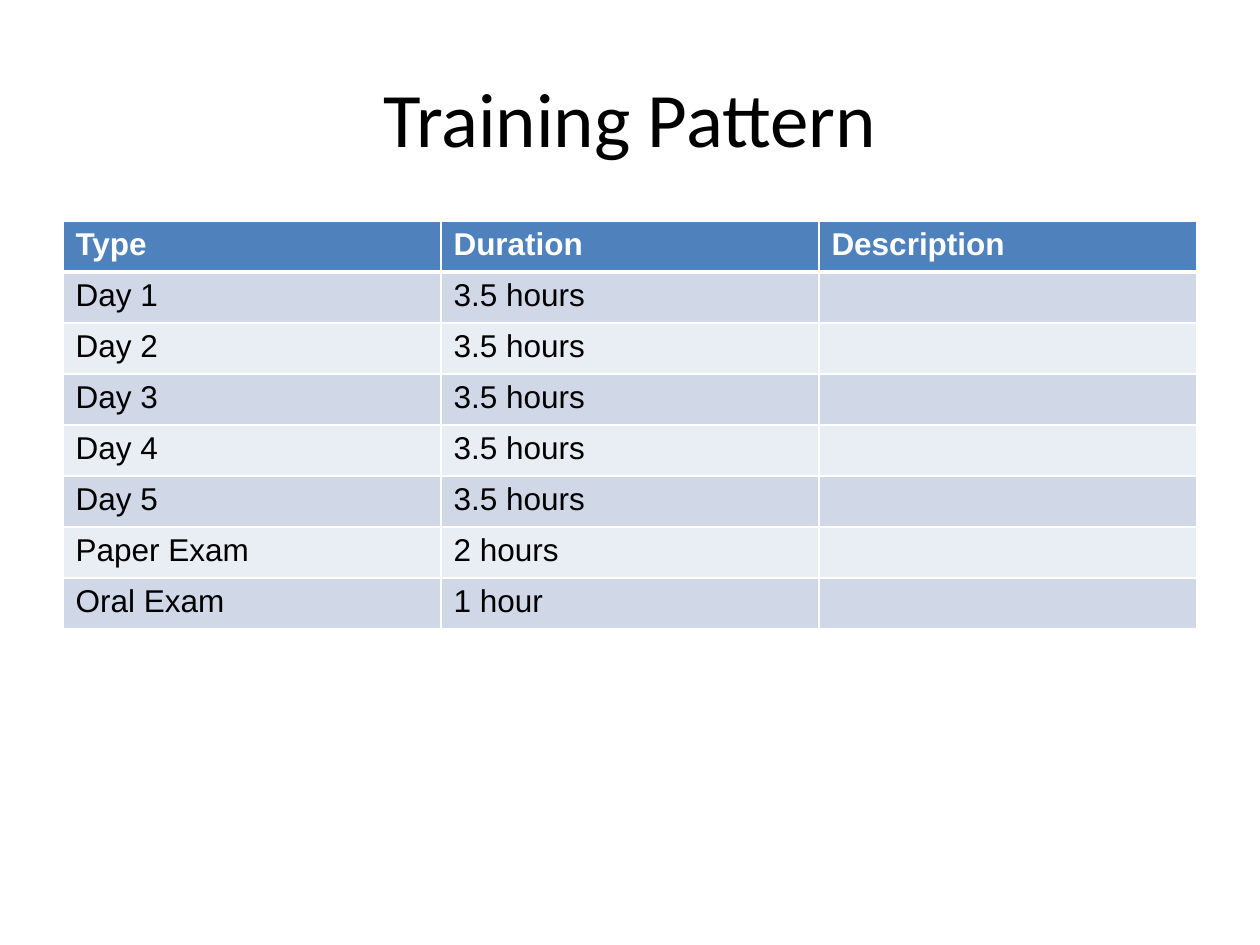
from lxml import etree
from pptx import Presentation
from pptx.dml.color import RGBColor
from pptx.enum.text import MSO_ANCHOR, PP_ALIGN
from pptx.oxml.ns import qn
from pptx.util import Pt

TITLE = "Training Pattern"
ROWS = [
    ("Type", "Duration", "Description"),
    ("Day 1", "3.5 hours", ""),
    ("Day 2", "3.5 hours", ""),
    ("Day 3", "3.5 hours", ""),
    ("Day 4", "3.5 hours", ""),
    ("Day 5", "3.5 hours", ""),
    ("Paper Exam", "2 hours", ""),
    ("Oral Exam", "1 hour", ""),
]

PX = 914400 // 126
SLIDE_W, SLIDE_H = 1260, 945
MARGIN = 63
CONTENT_W = SLIDE_W - 2 * MARGIN
TITLE_TOP, TITLE_H = 38, 157
TABLE_TOP, ROW_H = 221, 51

BLACK = RGBColor(0x00, 0x00, 0x00)
WHITE = RGBColor(0xFF, 0xFF, 0xFF)
HEADER = RGBColor(0x4F, 0x81, 0xBD)
BANDS = (RGBColor(0xE9, 0xED, 0xF4), RGBColor(0xD0, 0xD8, 0xE8))

CENTER, LEFT = PP_ALIGN.CENTER, PP_ALIGN.LEFT
MIDDLE = MSO_ANCHOR.MIDDLE


def write(tf, text, size=18, font="Arial", color=BLACK, bold=False, align=LEFT):
    p = tf.paragraphs[0]
    p.alignment = align
    p.font.size = Pt(size)
    if not text:
        return
    r = p.add_run()
    r.text = text
    r.font.size = Pt(size)
    r.font.name = font
    r.font.bold = bold
    r.font.color.rgb = color


def set_borders(cell, color, **widths):
    """Draw cell edges; widths in points are keyed L, R, T, B, in that order."""
    tc_pr = cell._tc.get_or_add_tcPr()
    for edge, width in widths.items():
        ln = etree.SubElement(tc_pr, qn(f"a:ln{edge}"), w=str(Pt(width)))
        fill = etree.SubElement(ln, qn("a:solidFill"))
        etree.SubElement(fill, qn("a:srgbClr"), val=str(color))


def add_title(s):
    box = s.shapes.add_textbox(MARGIN * PX, TITLE_TOP * PX, CONTENT_W * PX, TITLE_H * PX)
    tf = box.text_frame
    tf.word_wrap = True
    tf.vertical_anchor = MIDDLE
    write(tf, TITLE, size=44, font="Calibri", align=CENTER)


def add_schedule(s):
    n_rows, n_cols = len(ROWS), len(ROWS[0])
    table = s.shapes.add_table(n_rows, n_cols, MARGIN * PX, TABLE_TOP * PX,
                               CONTENT_W * PX, n_rows * ROW_H * PX).table
    for i, row in enumerate(ROWS):
        is_header = i == 0
        for j, text in enumerate(row):
            cell = table.cell(i, j)
            write(cell.text_frame, text, bold=is_header,
                  color=WHITE if is_header else BLACK)
            set_borders(cell, WHITE, L=1, R=1, T=3 if i == 1 else 1,
                        B=3 if is_header else 1)
            cell.fill.solid()
            cell.fill.fore_color.rgb = HEADER if is_header else BANDS[i % 2]


def main():
    prs = Presentation()
    prs.slide_width, prs.slide_height = SLIDE_W * PX, SLIDE_H * PX
    s = prs.slides.add_slide(prs.slide_layouts[6])
    add_title(s)
    add_schedule(s)
    prs.save("out.pptx")


if __name__ == "__main__":
    main()
